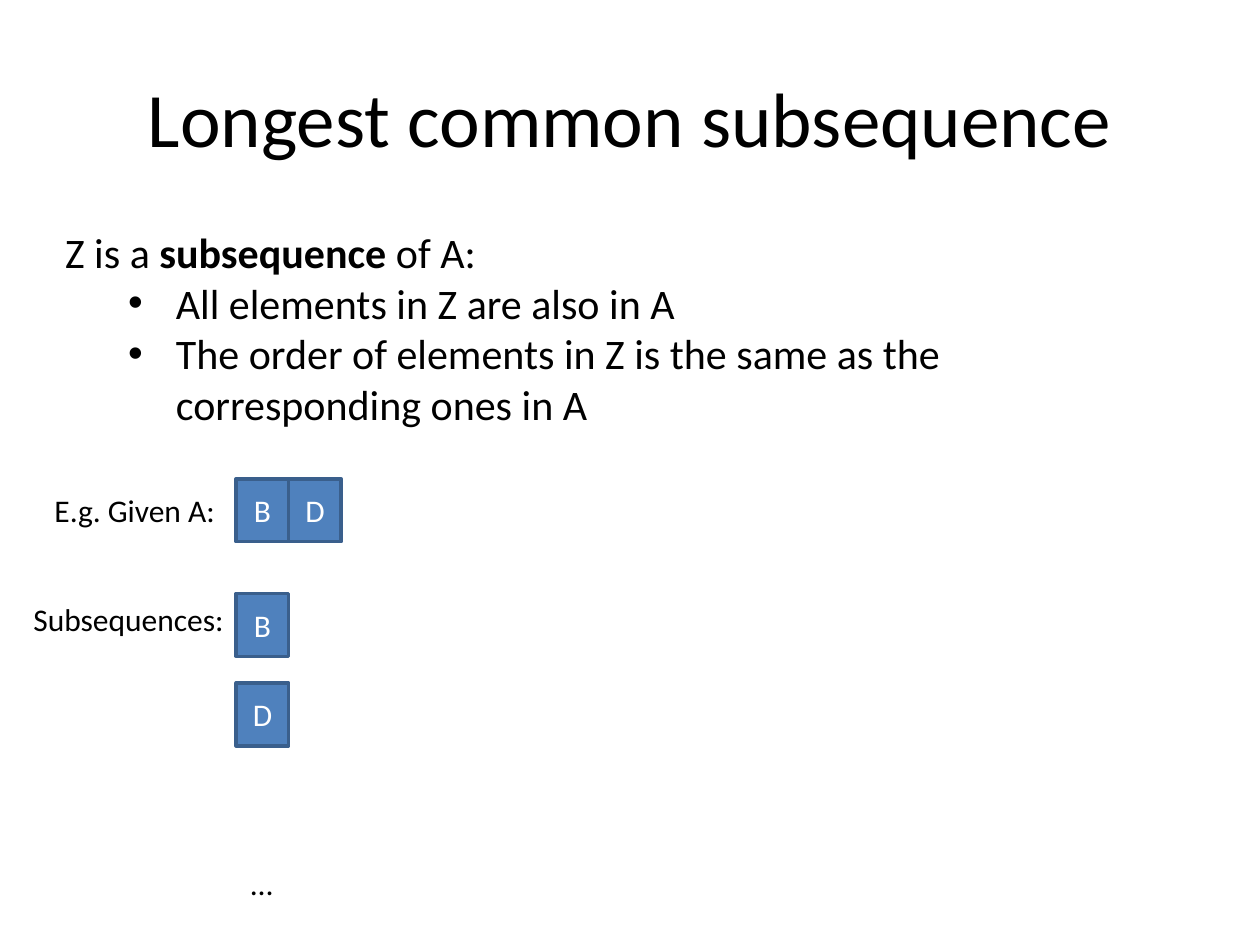
import pptx
import pptx.util
import pptx.dml.color
import pptx.enum.shapes
import pptx.enum.text
from lxml import etree

HUES = {"ink": "000000", "fill": "4F81BD", "edge": "3A5F8C", "light": "FFFFFF"}
ALIGN = pptx.enum.text.PP_ALIGN
ANCHOR = pptx.enum.text.MSO_ANCHOR
COLS, ROWS = 24, 15  # grid of the slide


def hue(name):
    return pptx.dml.color.RGBColor.from_string(HUES[name])


def write(para, text, size=18, color="ink", bold=False, align=ALIGN.LEFT):
    """Add one formatted run to a paragraph."""
    para.alignment = align
    run = para.add_run()
    run.text = text
    font = run.font
    font.name, font.size, font.bold = "Calibri", pptx.util.Pt(size), bold
    font.color.rgb = hue(color)


class Deck:
    def __init__(self, wide, high):
        self.prs = pptx.Presentation()
        self.prs.slide_width = pptx.util.Inches(wide)
        self.prs.slide_height = pptx.util.Inches(high)
        self.slide = self.prs.slides.add_slide(self.prs.slide_layouts[1])

    def area(self, col, row, wide, high):
        x, y = self.prs.slide_width / COLS, self.prs.slide_height / ROWS
        return [int(n) for n in (col * x, row * y, wide * x, high * y)]

    def place(self, shape, *cells):
        shape.left, shape.top, shape.width, shape.height = self.area(*cells)

    def title(self, text, *cells):
        shape = self.slide.shapes.title
        self.place(shape, *cells)
        shape.text_frame.vertical_anchor = ANCHOR.MIDDLE
        write(shape.text_frame.paragraphs[0], text, size=44, align=ALIGN.CENTER)

    def body(self, lead, points, *cells):
        shape = self.slide.placeholders[1]
        self.place(shape, *cells)
        frame = shape.text_frame
        frame.auto_size = pptx.enum.text.MSO_AUTO_SIZE.NONE
        first = frame.paragraphs[0]
        self.mark(first)
        for text, bold in lead:
            write(first, text, size=24, bold=bold)
        for text in points:
            para = frame.add_paragraph()
            para.level = 1
            self.mark(para, "•", 0.88, -0.38)
            write(para, text, size=24)

    def mark(self, para, sign=None, left=0, hang=0):
        """Set the bullet and indent of a paragraph."""
        para.space_before = pptx.util.Pt(0)
        props = para._p.get_or_add_pPr()
        props.set("marL", str(pptx.util.Inches(left)))
        props.set("indent", str(pptx.util.Inches(hang)))
        space = pptx.oxml.ns.qn
        if sign:
            etree.SubElement(props, space("a:buFont")).set("typeface", "Arial")
            etree.SubElement(props, space("a:buChar")).set("char", sign)
        else:
            etree.SubElement(props, space("a:buNone"))

    def label(self, text, *cells):
        frame = self.slide.shapes.add_textbox(*self.area(*cells)).text_frame
        frame.word_wrap = True
        write(frame.paragraphs[0], text)

    def box(self, text, col, row):
        kind = pptx.enum.shapes.MSO_SHAPE.RECTANGLE
        shape = self.slide.shapes.add_shape(kind, *self.area(col, row, 1, 1))
        shape.shadow.inherit = False
        shape.fill.solid()
        shape.fill.fore_color.rgb = hue("fill")
        shape.line.color.rgb = hue("edge")
        shape.line.width = pptx.util.Pt(2)
        frame = shape.text_frame
        frame.vertical_anchor = ANCHOR.MIDDLE
        write(frame.paragraphs[0], text, color="light", align=ALIGN.CENTER)


def main():
    deck = Deck(10, 7.5)

    # Definition
    deck.title("Longest common subsequence", 1.2, 0.6, 21.6, 2.5)
    deck.body(
        [("Z is a ", False), ("subsequence", True), (" of A:", False)],
        ["All elements in Z are also in A",
         "The order of elements in Z is the same as the corresponding ones in A"],
        1, 3.5, 19, 4.24)

    # Given sequence, last box at the back
    start, given = 4.5, "BD"
    deck.label("E.g. Given A:", 0.8, 7.7, 4.2, 0.8)
    for i in reversed(range(len(given))):
        deck.box(given[i], start + i, 7.6)

    # Its subsequences
    top, step = 9.42, 1.42
    deck.label("Subsequences:", 0.4, top, 4.6, 0.8)
    for i, text in enumerate(given):
        deck.box(text, start, top + i * step)
    deck.label("…", 4.54, 13.62, 2, 0.84)

    deck.prs.save("out.pptx")


if __name__ == "__main__":
    main()
